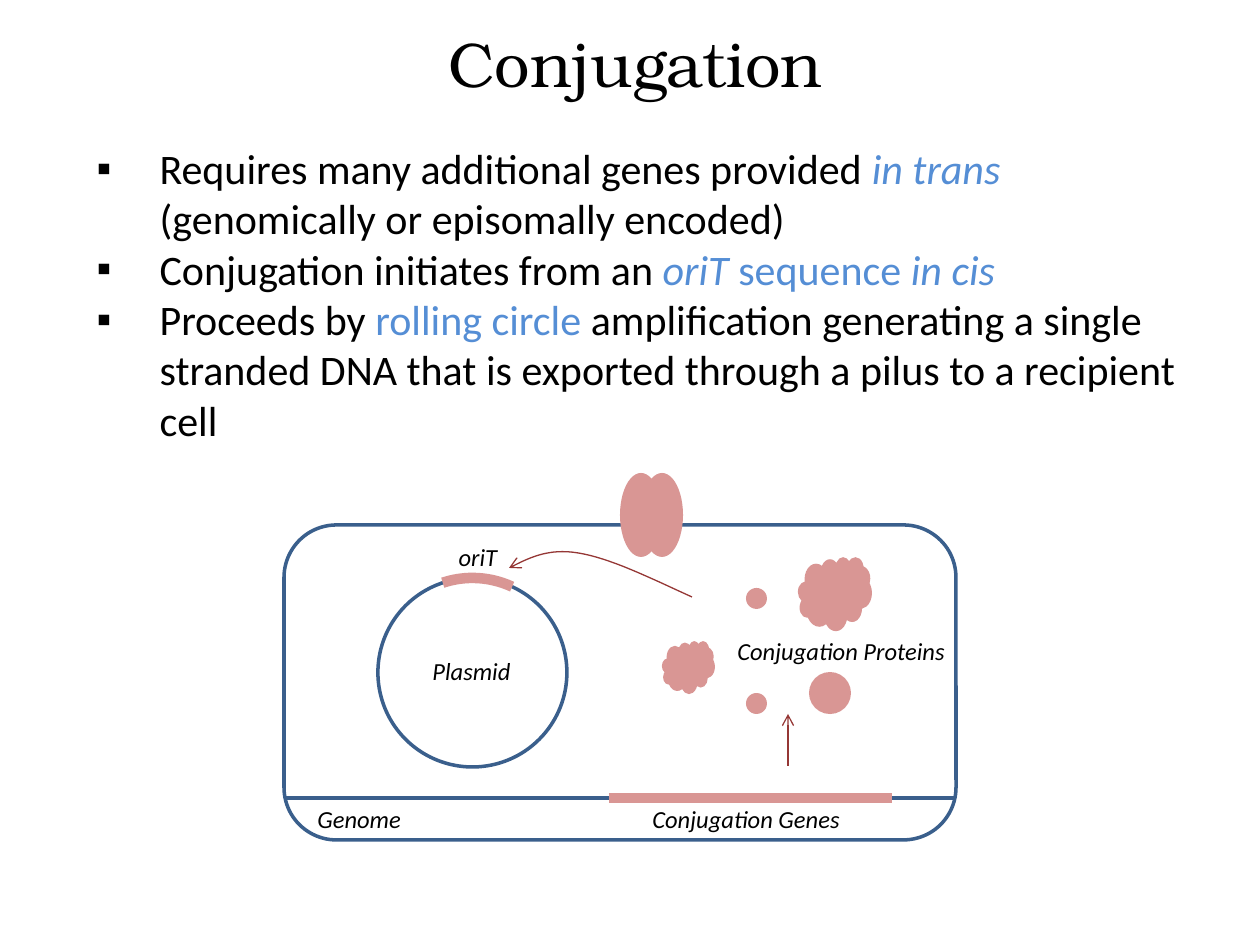
import pptx
import pptx.dml.color
import pptx.enum.shapes
import pptx.enum.text
import pptx.oxml
import pptx.oxml.ns
import pptx.util
from lxml import etree

RGBColor = pptx.dml.color.RGBColor
SHAPE = pptx.enum.shapes.MSO_SHAPE
ALIGN = pptx.enum.text.PP_ALIGN
qn = pptx.oxml.ns.qn

BLACK = RGBColor(0x00, 0x00, 0x00)
WHITE = RGBColor(0xFF, 0xFF, 0xFF)
HIGHLIGHT = RGBColor(0x55, 0x8E, 0xD5)
NAVY = RGBColor(0x3A, 0x5F, 0x8C)
PINK = RGBColor(0xD9, 0x96, 0x94)
MAROON = RGBColor(0x95, 0x37, 0x35)
PX = 914400 / 126


def px(*lengths):
    """Turn pixel lengths into EMU."""
    return [round(length * PX) for length in lengths]


def style(item, line_color=None, width=0, fill_color=None, arrow=False):
    """Set outline and fill, drop the shadow, and add an end arrowhead on request."""
    if line_color is None:
        item.line.fill.background()
    else:
        item.line.color.rgb = line_color
        item.line.width = pptx.util.Pt(width)
    if hasattr(item, "fill"):
        item.shadow.inherit = False
        if fill_color is None:
            item.fill.background()
        else:
            item.fill.solid()
            item.fill.fore_color.rgb = fill_color
    else:
        etree.SubElement(item._element.spPr, qn("a:effectLst"))
    if arrow:
        etree.SubElement(item.line._get_or_add_ln(), qn("a:tailEnd"), type="arrow")


deck = pptx.Presentation()
deck.slide_width, deck.slide_height = px(1260, 945)
page = deck.slides.add_slide(deck.slide_layouts[1])
shapes = page.shapes

# Title
title = shapes.title
title.left, title.top, title.width, title.height = px(42, 18, 1187, 89)
title.text_frame.auto_size = pptx.enum.text.MSO_AUTO_SIZE.NONE
para = title.text_frame.paragraphs[0]
para.alignment = ALIGN.CENTER
span = para.add_run()
span.text = "Conjugation"
span.font.name = "TeX Gyre Bonum"
span.font.size = pptx.util.Pt(36)
span.font.color.rgb = BLACK

# Bulleted list: each run is text, colour, italic
bullets = [
    [("Requires many additional genes provided ", BLACK, False),
     ("in trans ", HIGHLIGHT, True),
     ("(genomically or episomally encoded)", BLACK, False)],
    [("Conjugation initiates from an ", BLACK, False),
     ("oriT", HIGHLIGHT, True),
     (" sequence ", HIGHLIGHT, False),
     ("in cis", HIGHLIGHT, True)],
    [("Proceeds by ", BLACK, False),
     ("rolling circle ", HIGHLIGHT, False),
     ("amplification generating a single stranded DNA that is exported "
      "through a pilus to a recipient cell", BLACK, False)],
]
body = page.placeholders[1]
body.left, body.top, body.width, body.height = px(84, 136, 1113, 318)
frame = body.text_frame
frame.auto_size = pptx.enum.text.MSO_AUTO_SIZE.NONE
indent = px(63)[0]
for index, runs in enumerate(bullets):
    para = frame.add_paragraph() if index else frame.paragraphs[0]
    para.space_before = pptx.util.Pt(0)
    properties = para._p.get_or_add_pPr()
    properties.set("marL", str(indent))
    properties.set("indent", str(-indent))
    etree.SubElement(properties, qn("a:buFont"), typeface="Arial")
    etree.SubElement(properties, qn("a:buChar"), char="▪")
    for text, color, italic in runs:
        span = para.add_run()
        span.text = text
        span.font.name = "Calibri"
        span.font.size = pptx.util.Pt(24)
        span.font.italic = italic
        span.font.color.rgb = color

# Cell wall
cell = shapes.add_shape(SHAPE.ROUNDED_RECTANGLE, *px(284, 525, 672, 315))
style(cell, NAVY, 2, WHITE)

# Plasmid ring and its oriT segment (arc angles in 60000ths of a degree, over 100000)
for start, end, color, width in [(162, 160.72, NAVY, 2), (151.01, 176.91, PINK, 6)]:
    ring = shapes.add_shape(SHAPE.ARC, *px(378, 578, 189, 189))
    ring.adjustments[0] = start
    ring.adjustments[1] = end
    style(ring, color, width)

# Genome, conjugation genes, expression arrow
for x1, y1, x2, y2, color, width, arrow in [
    (284, 798, 956, 798, NAVY, 2, False),
    (609, 798, 892, 798, PINK, 6, False),
    (788, 766, 788, 714, MAROON, 0.75, True),
]:
    line = shapes.add_connector(
        pptx.enum.shapes.MSO_CONNECTOR.STRAIGHT, *px(x1, y1, x2, y2))
    style(line, color, width, arrow=arrow)

# Pilus halves and conjugation proteins
for kind, left, top, width, height in [
    (SHAPE.OVAL, 620, 473, 42, 84),
    (SHAPE.OVAL, 641, 473, 42, 84),
    (SHAPE.CLOUD, 662, 641, 53, 53),
    (SHAPE.CLOUD, 798, 557, 74, 74),
    (SHAPE.OVAL, 809, 672, 42, 42),
    (SHAPE.OVAL, 746, 588, 21, 21),
    (SHAPE.OVAL, 746, 693, 21, 21),
]:
    protein = shapes.add_shape(kind, *px(left, top, width, height))
    style(protein, fill_color=PINK)

# Curved arrow from the proteins to oriT: two cubic curves, sampled
knots = [(692, 597), (650, 578), (610, 558), (578, 553),
         (548, 548), (529, 558), (509, 568)]
steps = 16
points = []
for first in (0, 3):
    for step in range(1, steps + 1):
        t = step / steps
        weights = [(1 - t) ** 3, 3 * t * (1 - t) ** 2, 3 * t ** 2 * (1 - t), t ** 3]
        controls = knots[first:first + 4]
        points.append(px(*(sum(w * c[axis] for w, c in zip(weights, controls))
                           for axis in (0, 1))))
builder = shapes.build_freeform(*px(*knots[0]))
builder.add_line_segments(points, close=False)
style(builder.convert_to_shape(), MAROON, 0.75, arrow=True)

# Labels
for text, left, top, width, alignment in [
    ("Genome", 305, 798, 158, ALIGN.LEFT),
    ("Plasmid", 420, 650, 126, ALIGN.LEFT),
    ("Conjugation Proteins", 725, 630, 252, ALIGN.LEFT),
    ("oriT", 441, 536, 74, ALIGN.CENTER),
    ("Conjugation Genes", 640, 798, 252, ALIGN.LEFT),
]:
    box = shapes.add_textbox(*px(left, top, width, 43))
    box.text_frame.word_wrap = True
    para = box.text_frame.paragraphs[0]
    para.alignment = alignment
    span = para.add_run()
    span.text = text
    span.font.name = "Calibri"
    span.font.size = pptx.util.Pt(14)
    span.font.italic = True
    span.font.color.rgb = BLACK

deck.save("out.pptx")
